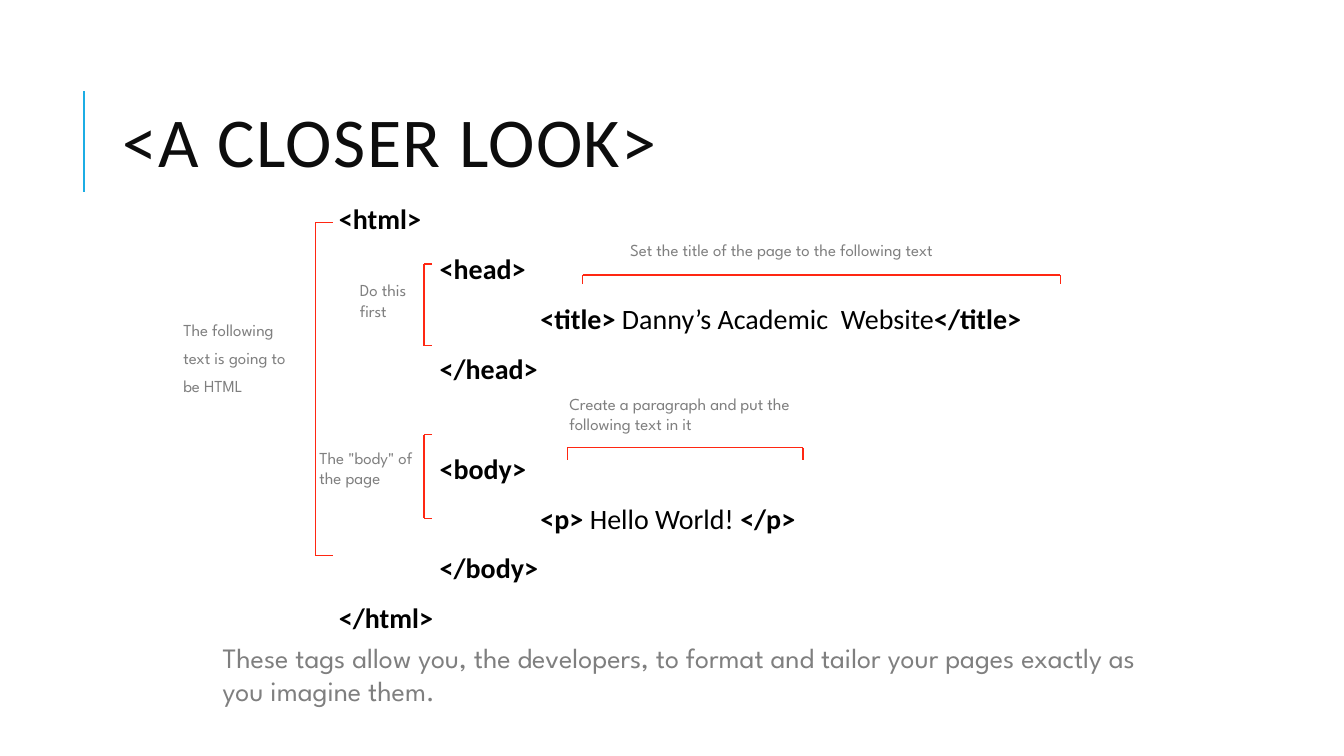
import pptx
import pptx.dml.color
import pptx.enum.shapes
import pptx.enum.text
import pptx.oxml.xmlchemy
import pptx.util

COLOURS = {"accent": "1CADE4", "title": "0D0D0D", "code": "000000",
           "bracket": "FF2712", "note": "7F7F7F"}
CODE_FONT = "Calibri"
NOTE_FONT = "League Spartan"
INDENT = pptx.util.Cm(2.54)
SECTION_GAP = 47.7
LINE_GAP = 12

CODE_LINES = [
    (0, LINE_GAP, [("<html>", True)]),
    (1, LINE_GAP, [("<head>", True)]),
    (2, LINE_GAP, [("<title>", True), (" Danny’s Academic  Website", False),
                   ("</title>", True)]),
    (1, LINE_GAP, [("</head>", True)]),
    (1, SECTION_GAP, [("<body>", True)]),
    (2, LINE_GAP, [("<p>", True), (" Hello World! ", False), ("</p>", True)]),
    (1, LINE_GAP, [("</body>", True)]),
    (0, LINE_GAP, [("</html>", True)]),
]

SIDE_BRACKETS = [(7.95, 5.61, 14.0, 0.43), (10.69, 6.65, 8.71, 0.2),
                 (10.69, 10.95, 13.06, 0.2)]
TOP_BRACKETS = [(14.68, 26.72, 6.93, 0.23), (14.3, 20.24, 11.28, 0.3)]

NOTES = [
    ((4.62, 8.05, 3.15, 1.96), 12,
     ["The following", "text is going to", "be HTML"]),
    ((9.07, 7.06, 1.8, 1.27), 12, ["Do this first"]),
    ((15.88, 6.05, 9.68, 0.74), 12,
     ["Set the title of the page to the following text"]),
    ((14.35, 9.91, 5.99, 1.27), 12,
     ["Create a paragraph and put the following text in it"]),
    ((8.05, 11.28, 2.79, 1.27), 12, ['The "body" of the page']),
    ((5.61, 16.13, 23.67, 1.9), 20,
     ["These tags allow you, the developers, to format and tailor your pages "
      "exactly as you imagine them."]),
]


def colour(name):
    return pptx.dml.color.RGBColor.from_string(COLOURS[name])


def add_span(para, text, size, font, shade, bold=False):
    span = para.add_run()
    span.text = text
    span.font.size = pptx.util.Pt(size)
    span.font.name = font
    span.font.bold = bold
    span.font.color.rgb = colour(shade)
    return span


def place(shape, *position):
    shape.left, shape.top, shape.width, shape.height = map(
        pptx.util.Cm, position)


def prepare_frame(frame, inset):
    frame.word_wrap = True
    frame.auto_size = pptx.enum.text.MSO_AUTO_SIZE.NONE
    frame.margin_left = frame.margin_right = pptx.util.Cm(inset)
    frame.margin_top = frame.margin_bottom = pptx.util.Cm(inset)


def paragraph_at(frame, index):
    return frame.add_paragraph() if index else frame.paragraphs[0]


def add_line(shapes, start, end, shade, width):
    line = shapes.add_connector(pptx.enum.shapes.MSO_CONNECTOR.STRAIGHT,
                                *map(pptx.util.Cm, start + end))
    line.line.color.rgb = colour(shade)
    line.line.width = pptx.util.Pt(width)
    line._element.spPr.append(
        pptx.oxml.xmlchemy.OxmlElement("a:effectLst"))


def add_bracket(page, corners):
    group = page.shapes.add_group_shape()
    for start, end in zip(corners, corners[1:]):
        add_line(group.shapes, start, end, "bracket", 1)


def add_side_bracket(page, left, top, bottom, tick):
    add_bracket(page, [(left + tick, top), (left, top),
                       (left, bottom), (left + tick, bottom)])


def add_top_bracket(page, left, right, top, tick):
    add_bracket(page, [(left, top + tick), (left, top),
                       (right, top), (right, top + tick)])


def fill_title(title):
    place(title, 2.84, 1.63, 27, 4.17)
    frame = title.text_frame
    prepare_frame(frame, 0.25)
    frame.vertical_anchor = pptx.enum.text.MSO_ANCHOR.MIDDLE
    para = frame.paragraphs[0]
    para.alignment = pptx.enum.text.PP_ALIGN.LEFT
    para.line_spacing = 0.8
    span = add_span(para, "<A CLOSER LOOK>", 50, CODE_FONT, "title")
    span.font._element.set("spc", "100")


def fill_code(body):
    place(body, 8.41, 5.05, 20.04, 12.78)
    frame = body.text_frame
    prepare_frame(frame, 0.13)
    frame.vertical_anchor = pptx.enum.text.MSO_ANCHOR.TOP
    for index, (depth, gap, pieces) in enumerate(CODE_LINES):
        para = paragraph_at(frame, index)
        para.alignment = pptx.enum.text.PP_ALIGN.LEFT
        para.line_spacing = 0.9
        para.space_before = pptx.util.Pt(gap if index else 0)
        para.space_after = pptx.util.Pt(2)
        properties = para._p.get_or_add_pPr()
        properties.set("marL", str(depth * INDENT))
        properties.set("indent", "0")
        properties.append(pptx.oxml.xmlchemy.OxmlElement("a:buNone"))
        for text, bold in pieces:
            add_span(para, text, 20, CODE_FONT, "code", bold)


def add_note(page, position, size, lines):
    box = page.shapes.add_textbox(*map(pptx.util.Cm, position))
    frame = box.text_frame
    prepare_frame(frame, 0)
    for index, text in enumerate(lines):
        para = paragraph_at(frame, index)
        para.space_before = pptx.util.Pt(5.8 if index else 0)
        add_span(para, text, size, NOTE_FONT, "note")


def main():
    """Build the slide that explains the parts of an HTML page."""
    deck = pptx.Presentation()
    deck.slide_width = pptx.util.Cm(33.87)
    deck.slide_height = pptx.util.Cm(19.05)
    page = deck.slides.add_slide(deck.slide_layouts[1])
    add_line(page.shapes, (2.11, 4.83), (2.11, 2.29), "accent", 1.5)
    fill_title(page.shapes.title)
    fill_code(page.placeholders[1])
    for bracket in SIDE_BRACKETS:
        add_side_bracket(page, *bracket)
    for bracket in TOP_BRACKETS:
        add_top_bracket(page, *bracket)
    for note in NOTES:
        add_note(page, *note)
    deck.save("out.pptx")


if __name__ == "__main__":
    main()
